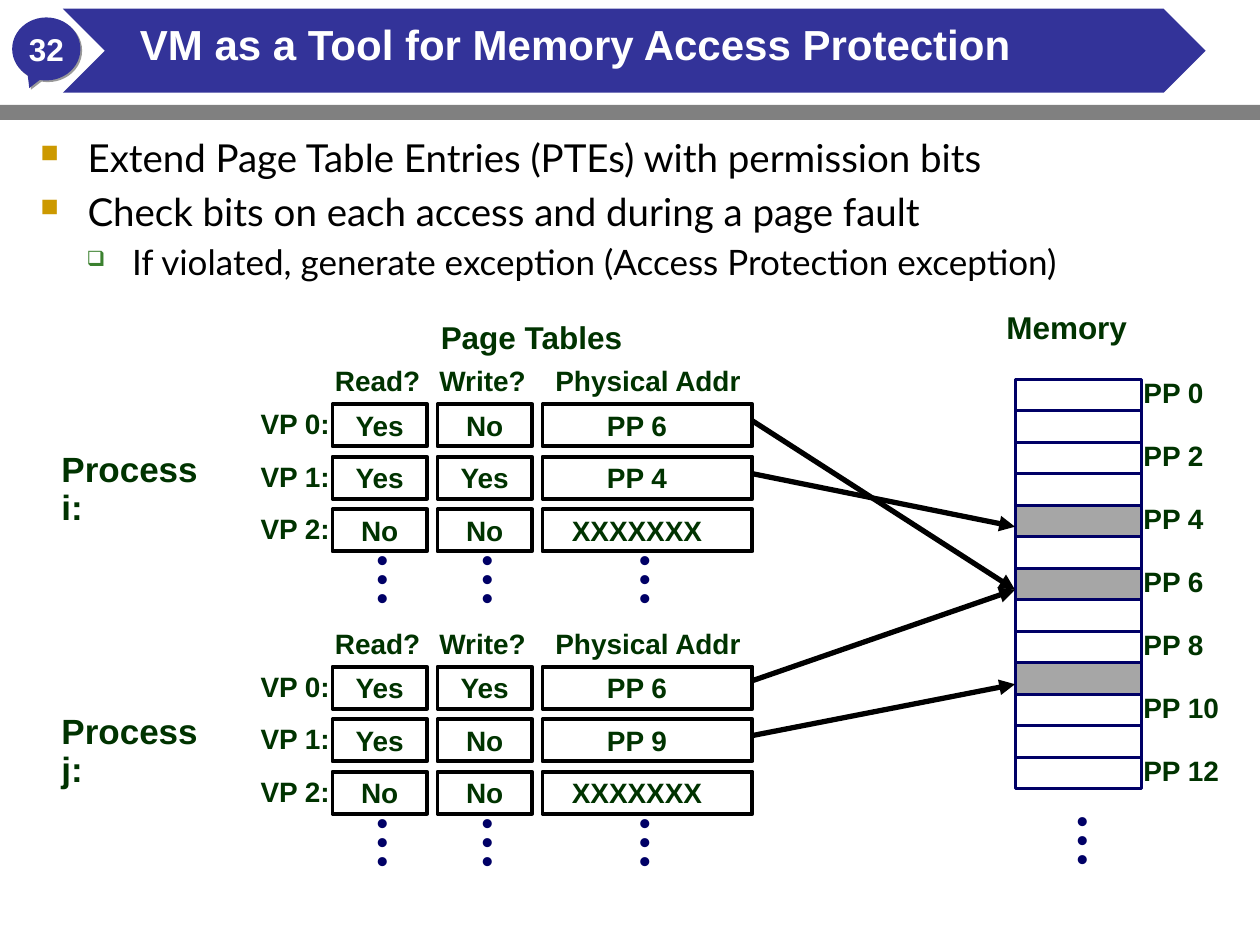
import pptx
import pptx.dml.color
import pptx.enum.shapes
import pptx.enum.text
import pptx.oxml
import pptx.oxml.ns
import pptx.util
from lxml import etree

Pt = pptx.util.Pt
RGB = pptx.dml.color.RGBColor
SHAPE = pptx.enum.shapes.MSO_SHAPE
ALIGN = pptx.enum.text.PP_ALIGN
ANCHOR = pptx.enum.text.MSO_ANCHOR
qn = pptx.oxml.ns.qn

WHITE = RGB(0xFF, 0xFF, 0xFF)
BLACK = RGB(0x00, 0x00, 0x00)
INDIGO = RGB(0x33, 0x33, 0x99)
BAR_GRAY = RGB(0x80, 0x80, 0x80)
USED_GRAY = RGB(0xA6, 0xA6, 0xA6)
NAVY = RGB(0x00, 0x00, 0x66)
DARK_GREEN = RGB(0x00, 0x33, 0x00)
GOLD = RGB(0xCC, 0x99, 0x00)
LEAF_GREEN = RGB(0x3B, 0x81, 0x2F)

ROW_PITCH, ROW_HEIGHT = 30, 24
LABEL_HEIGHT = 24.5
COLUMNS = [("Read?", 184.3, 190, 54), ("Write?", 244, 250, 54),
           ("Physical Addr", 310.3, 310, 120)]  # heading, its left, cell left, width
PROCESS_I = [("Yes", "No", "PP 6"), ("Yes", "Yes", "PP 4"), ("No", "No", "XXXXXXX")]
PROCESS_J = [("Yes", "Yes", "PP 6"), ("Yes", "No", "PP 9"), ("No", "No", "XXXXXXX")]
PROCESS_I_TOP, PROCESS_J_TOP = 231, 381

MEMORY_LEFT, MEMORY_TOP, MEMORY_WIDTH = 580.3, 216.7, 72
PAGE_HEIGHT, PAGE_COUNT = 18, 13
USED_PAGES = (4, 6, 9)


def style(paragraph, size, color, bold=True, font="Arial"):
    for run in paragraph.runs:
        run.font.size = Pt(size)
        run.font.name = font
        run.font.bold = bold
        run.font.color.rgb = color


def add_box(slide, preset, left, top, width, height, fill, line=None, line_width=0):
    box = slide.shapes.add_shape(preset, Pt(left), Pt(top), Pt(width), Pt(height))
    box.shadow.inherit = False
    box.fill.solid()
    box.fill.fore_color.rgb = fill
    if line is None:
        box.line.fill.background()
    else:
        box.line.color.rgb = line
        box.line.width = Pt(line_width)
    return box


def add_label(slide, text, left, top, width, height=LABEL_HEIGHT, size=16,
              color=DARK_GREEN, wrap=False):
    label = slide.shapes.add_textbox(Pt(left), Pt(top), Pt(width), Pt(height))
    label.text_frame.word_wrap = wrap
    label.text_frame.text = text
    paragraph = label.text_frame.paragraphs[0]
    paragraph.line_spacing = 0.9
    style(paragraph, size, color)
    return label


def fill_centered(box, text, size, color, right_inset=0):
    frame = box.text_frame
    frame.margin_left = frame.margin_top = frame.margin_bottom = 0
    frame.margin_right = Pt(right_inset)
    frame.word_wrap = False
    frame.vertical_anchor = ANCHOR.MIDDLE
    frame.text = text
    frame.paragraphs[0].alignment = ALIGN.CENTER
    style(frame.paragraphs[0], size, color)


def add_dots(slide, center, top):
    """Three stacked dots: the list goes on."""
    dots = slide.shapes.add_textbox(Pt(center - 9.7), Pt(top), Pt(19.4), Pt(41))
    dots.text_frame.word_wrap = True
    dots.text_frame.text = "•\n•\n•"
    for paragraph in dots.text_frame.paragraphs:
        paragraph.alignment = ALIGN.CENTER
        paragraph.line_spacing = 0.5
        style(paragraph, 18, NAVY)


def add_arrow(slide, start, end):
    arrow = slide.shapes.add_connector(
        pptx.enum.shapes.MSO_CONNECTOR.STRAIGHT, *map(Pt, start + end))
    arrow.line.color.rgb = BLACK
    arrow.line.width = Pt(3)
    etree.SubElement(arrow.line._get_or_add_ln(), qn("a:tailEnd"), type="triangle")
    etree.SubElement(arrow._element.spPr, qn("a:effectLst"))


def add_callout_shadow(callout):
    effects = callout._element.spPr.find(qn("a:effectLst"))
    shadow = etree.SubElement(effects, qn("a:outerShdw"), blurRad="0",
                              dist=str(Pt(1.4)), dir="2700000", algn="ctr", rotWithShape="0")
    etree.SubElement(shadow, qn("a:srgbClr"), val="999999")


def add_header(slide):
    callout = add_box(slide, SHAPE.OVAL_CALLOUT, 7, 10, 39, 36, INDIGO)
    callout.adjustments[0], callout.adjustments[1] = -0.25, 0.62
    add_callout_shadow(callout)
    fill_centered(callout, "32", 18, WHITE)
    add_box(slide, SHAPE.RECTANGLE, 0, 60, 720, 8.5, BAR_GRAY)
    add_box(slide, SHAPE.CHEVRON, 36, 5, 653, 48, INDIGO)
    title = add_label(slide, "VM as a Tool for Memory Access Protection",
                      78, 12, 576, 36, 24, WHITE, wrap=True).text_frame
    title.margin_left = title.margin_right = Pt(2)
    title.margin_top = title.margin_bottom = Pt(2)


def set_bullet(paragraph, char, color, percent, indent, hanging):
    properties = paragraph._p.get_or_add_pPr()
    properties.set("marL", str(Pt(indent)))
    properties.set("indent", str(Pt(-hanging)))
    bullet_color = etree.SubElement(properties, qn("a:buClr"))
    etree.SubElement(bullet_color, qn("a:srgbClr"), val=str(color))
    etree.SubElement(properties, qn("a:buSzPct"), val=str(percent * 1000))
    etree.SubElement(properties, qn("a:buChar"), char=char)


def add_points(slide):
    main_bullet = ("■", GOLD, 65, 27, 27)
    sub_bullet = ("❑", LEAF_GREEN, 60, 52.5, 26)
    points = [
        ("Extend Page Table Entries (PTEs) with permission bits", 0, 22, main_bullet),
        ("Check bits on each access and during a page fault", 0, 22, main_bullet),
        ("If violated, generate exception (Access Protection exception)", 1, 20, sub_bullet),
    ]
    frame = slide.shapes.add_textbox(Pt(16), Pt(73), Pt(678), Pt(102)).text_frame
    frame.word_wrap = True
    frame.text = "\n".join(point[0] for point in points)
    for paragraph, (_, level, size, bullet) in zip(frame.paragraphs, points):
        paragraph.level = level
        paragraph.space_before = Pt(size * 0.2)
        set_bullet(paragraph, *bullet)
        style(paragraph, size, BLACK, bold=False, font="Lato")


def add_page_table(slide, process, rows, top):
    add_label(slide, process, 28, top + 23.8, 106, 29, 20, wrap=True)
    for column, (heading, heading_left, left, width) in enumerate(COLUMNS):
        add_label(slide, heading, heading_left, top - 24.4, width + 10)
        for row, entries in enumerate(rows):
            cell = add_box(slide, SHAPE.RECTANGLE, left, top + row * ROW_PITCH,
                           width, ROW_HEIGHT, WHITE, BLACK, 2.25)
            fill_centered(cell, entries[column], 16, DARK_GREEN,
                          right_inset=12 if width > 100 else 0)
        add_dots(slide, left + width / 2 + (1 if width < 100 else -2), top + 83.6)
    for row in range(len(rows)):
        add_label(slide, f"VP {row}:", 141.8, top + row * ROW_PITCH, 54)


def add_memory(slide):
    add_label(slide, "Memory", 568, 175, 83.5, 27, 18)
    for page in range(PAGE_COUNT):
        top = MEMORY_TOP + page * PAGE_HEIGHT
        add_box(slide, SHAPE.RECTANGLE, MEMORY_LEFT, top, MEMORY_WIDTH, PAGE_HEIGHT,
                USED_GRAY if page in USED_PAGES else WHITE, NAVY, 1.5)
        if page % 2 == 0:
            add_label(slide, f"PP {page}", 646.3, top - 3.6, 49 if page < 10 else 58)
    add_dots(slide, 618, 463.7)


def main():
    presentation = pptx.Presentation()
    presentation.slide_width, presentation.slide_height = Pt(720), Pt(540)
    slide = presentation.slides.add_slide(presentation.slide_layouts[6])

    add_header(slide)
    add_points(slide)
    add_label(slide, "Page Tables", 244.8, 180.7, 119.5, 27, 18)
    add_page_table(slide, "Process i:", PROCESS_I, PROCESS_I_TOP)
    add_memory(slide)
    for start, end in [((430, 270.7), (580, 301)), ((418.3, 393), (580, 337)),
                       ((430, 240.5), (580, 337)), ((418.3, 422.6), (580, 391))]:
        add_arrow(slide, start, end)
    add_page_table(slide, "Process j:", PROCESS_J, PROCESS_J_TOP)
    presentation.save("out.pptx")


if __name__ == "__main__":
    main()
